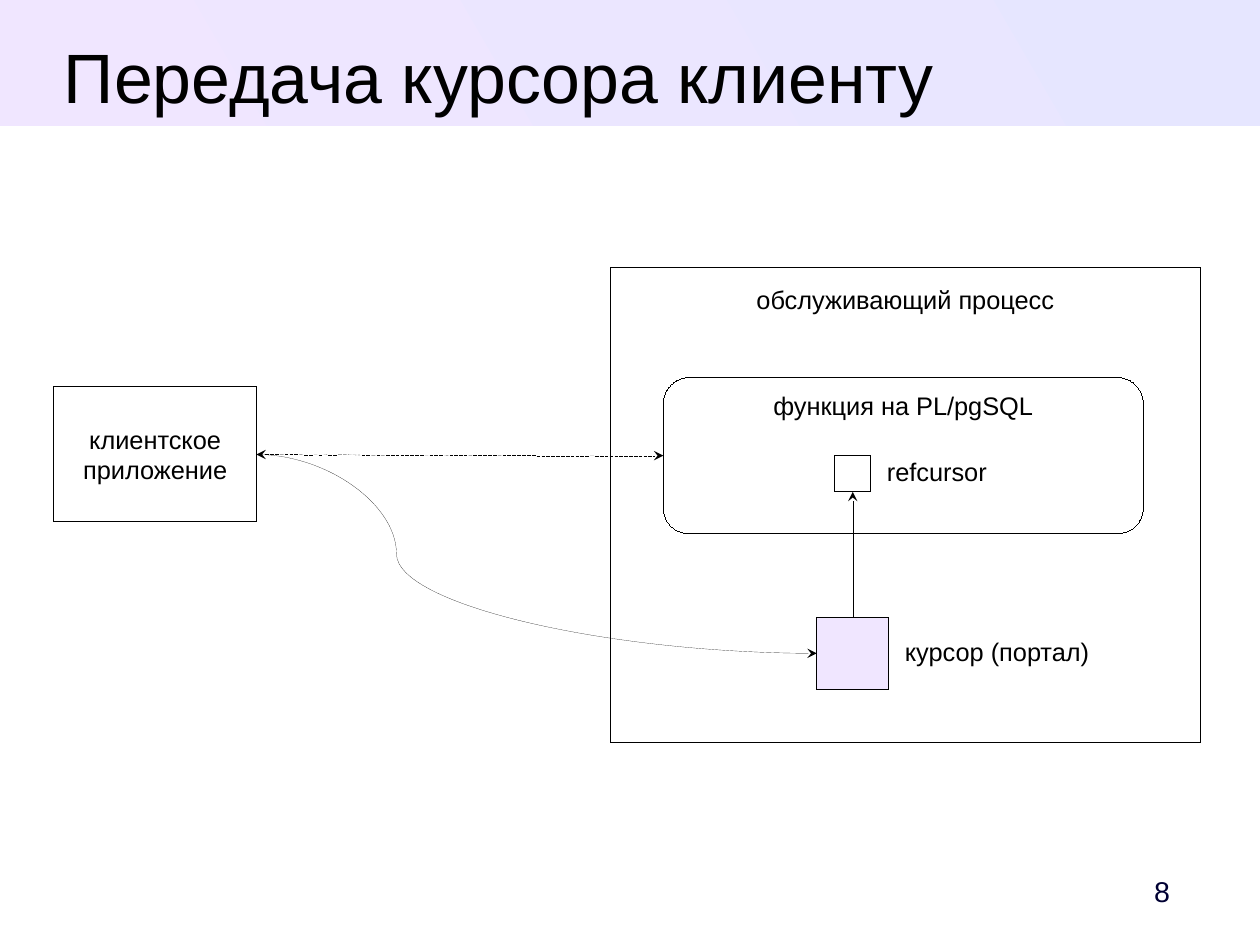
from dataclasses import dataclass

from lxml.etree import SubElement
from pptx import Presentation
from pptx.dml.color import RGBColor
from pptx.dml.line import LineFormat
from pptx.enum.dml import MSO_LINE as Dash
from pptx.enum.shapes import MSO_CONNECTOR as Link, MSO_SHAPE as Form
from pptx.enum.text import MSO_ANCHOR as Anchor, PP_ALIGN as Align
from pptx.oxml.ns import qn
from pptx.shapes.autoshape import Shape
from pptx.shapes.shapetree import SlideShapes
from pptx.util import Cm, Pt

BLACK = RGBColor(0x00, 0x00, 0x00)
WHITE = RGBColor(0xFF, 0xFF, 0xFF)
NAVY = RGBColor(0x00, 0x00, 0x33)
LILAC = RGBColor(0xF0, 0xE6, 0xFF)
BLUE = RGBColor(0xE6, 0xE6, 0xFF)
HAIR = Pt(0.01)  # a width of exactly 0 would fall back to the theme's line


@dataclass
class Box:
    """A place on the slide, in centimetres."""
    left: float
    top: float
    width: float
    height: float
    form: Form = Form.RECTANGLE
    fill: RGBColor = WHITE
    text: str = ""
    anchor: Anchor = Anchor.TOP
    inset: float = 0.13

    @property
    def right(self) -> float:
        return self.left + self.width

    @property
    def bottom(self) -> float:
        return self.top + self.height

    @property
    def middle(self) -> float:
        return self.top + self.height / 2

    @property
    def center(self) -> float:
        return self.left + self.width / 2


@dataclass
class Label:
    left: float
    top: float
    width: float
    height: float
    text: str
    size: int = 16
    align: Align = Align.LEFT
    color: RGBColor = BLACK
    anchor: Anchor = Anchor.TOP
    inset: tuple[float, float, float, float] = (0.25, 0.13, 0.25, 0.13)


@dataclass
class Arrow:
    start: tuple[float, float]
    end: tuple[float, float]
    kind: Link = Link.CURVE
    both: bool = False
    dashed: bool = False


CLIENT = Box(1.2, 8.6, 4.5, 3, text="клиентское\nприложение", anchor=Anchor.MIDDLE)
PROCESS = Box(13.57, 5.95, 13.1, 10.56, text="обслуживающий процесс", inset=0.36)
FUNCTION = Box(14.74, 8.39, 10.67, 3.47, Form.ROUNDED_RECTANGLE,
               text="функция на PL/pgSQL", inset=0.12)
REF = Box(18.55, 10.13, 0.8, 0.8)
CURSOR = Box(18.15, 13.72, 1.6, 1.6, fill=LILAC)
BOXES = [CLIENT, PROCESS, FUNCTION, REF, CURSOR]

LABELS = [
    Label(1.2, 0.74, 19.8, 1.75, "Передача курсора клиенту", 44, Align.CENTER,
          inset=(0, 0, 0, 0)),
    Label(23.8, 19.2, 2.2, 1.2, "8", 18, Align.RIGHT, NAVY, Anchor.MIDDLE,
          (0.25, 0.13, 0, 0.13)),
    Label(19.46, 10, 3, 0.9, "refcursor"),
    Label(19.86, 14, 4.8, 0.9, "курсор (портал)"),
]

OUT = (CLIENT.right, CLIENT.middle)
ARROWS = [
    Arrow(OUT, (FUNCTION.left, FUNCTION.middle), both=True, dashed=True),
    Arrow((CURSOR.center, CURSOR.top), (REF.center, REF.bottom), Link.STRAIGHT),
    Arrow(OUT, (CURSOR.left, CURSOR.middle)),
]


def write(shape: Shape, text: str, size: int, align: Align, color: RGBColor) -> None:
    frame = shape.text_frame
    frame.text = text
    for para in frame.paragraphs:
        para.alignment = align
        para.font.name = "Arial"
        para.font.size = Pt(size)
        para.font.color.rgb = color


def pad(shape: Shape, inset: tuple[float, float, float, float]) -> None:
    """Set the left, top, right and bottom text margins."""
    frame = shape.text_frame
    (frame.margin_left, frame.margin_top,
     frame.margin_right, frame.margin_bottom) = map(Cm, inset)


def ink(line: LineFormat) -> None:
    """Make a line a black hairline."""
    line.color.rgb = BLACK
    line.width = HAIR


def add_band(shapes: SlideShapes) -> None:
    """Draw the gradient strip behind the title."""
    band = shapes.add_shape(Form.RECTANGLE, 0, 0, Cm(28), Cm(2.8))
    band.shadow.inherit = False
    band.line.fill.background()
    band.fill.gradient()
    band.fill.gradient_angle = 210
    for stop, color, place in zip(band.fill.gradient_stops, (BLUE, LILAC), (0, 1)):
        stop.color.rgb = color
        stop.position = place


def add_box(shapes: SlideShapes, box: Box) -> None:
    shape = shapes.add_shape(box.form, Cm(box.left), Cm(box.top),
                             Cm(box.width), Cm(box.height))
    shape.shadow.inherit = False
    shape.fill.solid()
    shape.fill.fore_color.rgb = box.fill
    ink(shape.line)
    if box.text:
        shape.text_frame.word_wrap = False
        shape.text_frame.vertical_anchor = box.anchor
        pad(shape, (0.25, box.inset, 0.25, 0.13))
        write(shape, box.text, 16, Align.CENTER, BLACK)


def add_label(shapes: SlideShapes, label: Label) -> None:
    shape = shapes.add_textbox(Cm(label.left), Cm(label.top),
                               Cm(label.width), Cm(label.height))
    shape.text_frame.word_wrap = True
    shape.text_frame.vertical_anchor = label.anchor
    pad(shape, label.inset)
    write(shape, label.text, label.size, label.align, label.color)


def add_arrow(shapes: SlideShapes, arrow: Arrow) -> None:
    link = shapes.add_connector(arrow.kind, *map(Cm, arrow.start + arrow.end))
    ink(link.line)
    if arrow.dashed:
        link.line.dash_style = Dash.SQUARE_DOT
    props = link.element.spPr
    line = props.find(qn("a:ln"))
    if arrow.both:
        SubElement(line, qn("a:headEnd"), type="stealth")
    SubElement(line, qn("a:tailEnd"), type="stealth")
    SubElement(props, qn("a:effectLst"))
    if arrow.kind == Link.CURVE:
        bend = props.find(qn("a:prstGeom")).find(qn("a:avLst"))
        SubElement(bend, qn("a:gd"), name="adj1", fmla="val 25000")


def main() -> None:
    deck = Presentation()
    deck.slide_width, deck.slide_height = Cm(28), Cm(21)
    shapes = deck.slides.add_slide(deck.slide_layouts[6]).shapes
    add_band(shapes)
    for box in BOXES:
        add_box(shapes, box)
    for label in LABELS:
        add_label(shapes, label)
    for arrow in ARROWS:
        add_arrow(shapes, arrow)
    deck.save("out.pptx")


if __name__ == "__main__":
    main()
